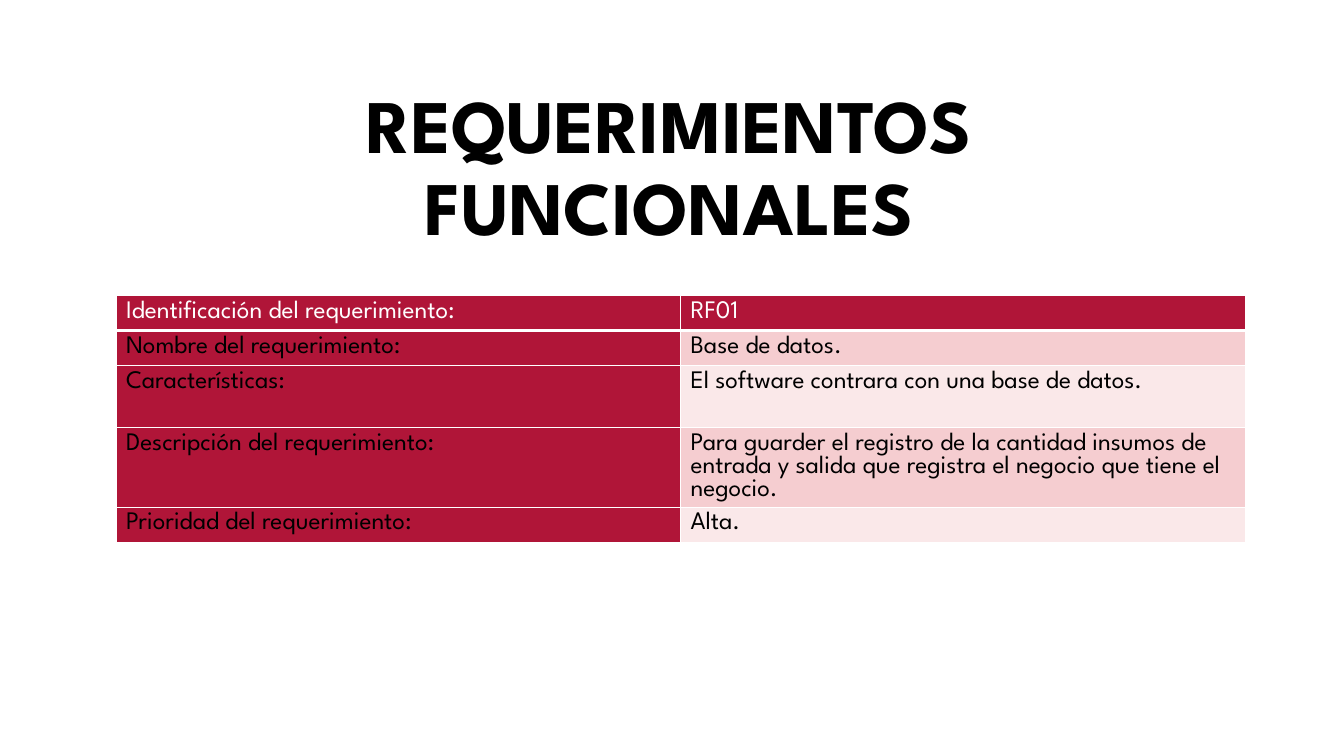
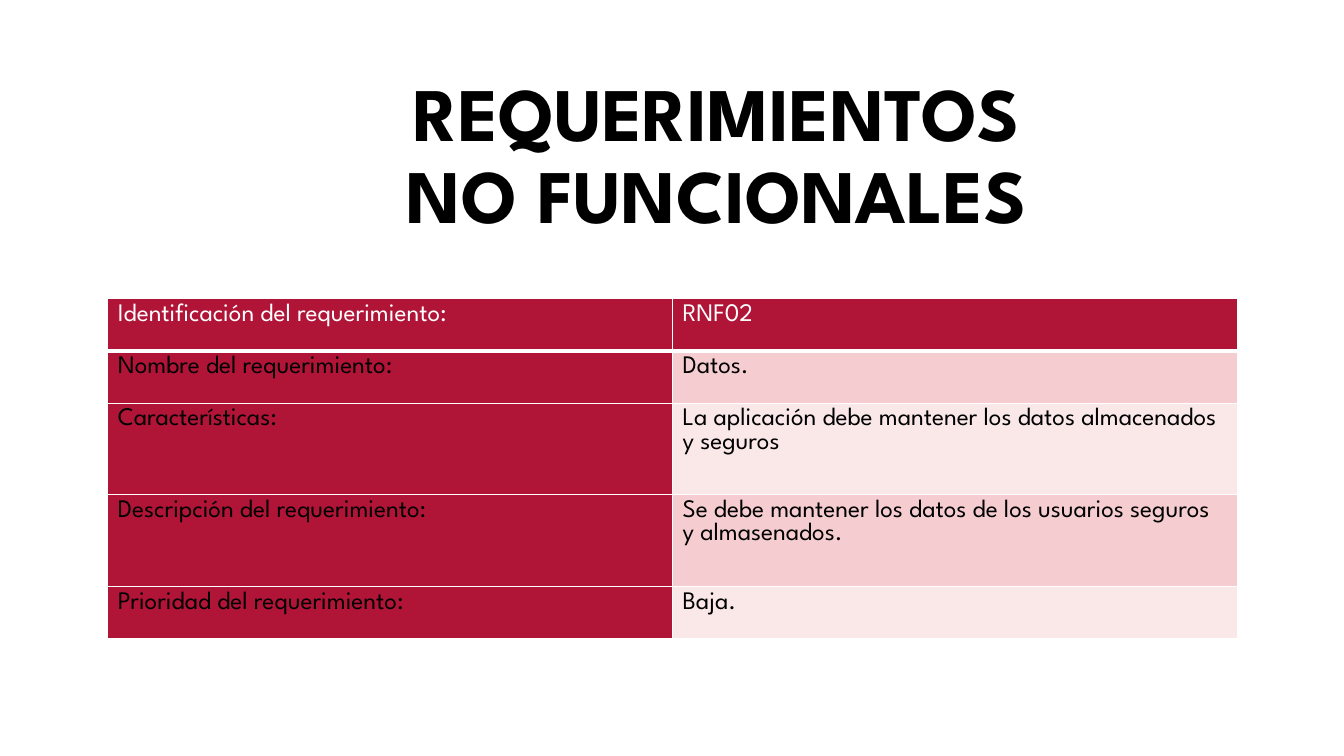
"""Builds two slides that tabulate a functional and a non-functional requirement."""
from dataclasses import dataclass

from lxml import etree
from pptx import Presentation
from pptx.dml.color import RGBColor
from pptx.enum import text
from pptx.oxml.ns import qn
from pptx.util import Inches, Pt


@dataclass(frozen=True)
class Theme:
    font: str = "League Spartan"
    crimson: str = "B01538"
    rose: str = "F5CDD0"
    blush: str = "FAE8E9"
    white: str = "FFFFFF"
    black: str = "000000"
    title_size: int = 54
    cell_size: int = 18
    rule: int = 1
    header_rule: int = 3


THEME = Theme()
LABELS = [
    "Identificación del requerimiento:",
    "Nombre del requerimiento:",
    "Características:",
    "Descripción del requerimiento:",
    "Prioridad del requerimiento:",
]
COLUMN_WIDTH = 5.6
REQUIREMENTS = [
    {
        "title": "REQUERIMIENTOS FUNCIONALES",
        "title_at": (3.23, 0.98),
        "table_at": (1.15, 2.93),
        "heights": [0.35, 0.35, 0.61, 0.61, 0.35],
        "answers": [
            "RF01",
            "Base de datos.",
            "El software contrara con una base de datos.",
            "Para guarder el registro de la cantidad insumos de entrada y salida "
            "que registra el negocio que tiene el negocio.",
            "Alta.",
        ],
    },
    {
        "title": "REQUERIMIENTOS NO FUNCIONALES",
        "title_at": (3.7, 0.86),
        "table_at": (1.07, 2.96),
        "heights": [0.52, 0.52, 0.91, 0.91, 0.52],
        "answers": [
            "RNF02",
            "Datos.",
            "La aplicación debe mantener los datos almacenados y seguros",
            "Se debe mantener los datos de los usuarios seguros y almasenados.",
            "Baja.",
        ],
    },
]


def style_text(frame, size, color, bold):
    for paragraph in frame.paragraphs:
        for run in paragraph.runs:
            run.font.name = THEME.font
            run.font.size = Pt(size)
            run.font.bold = bold
            run.font.color.rgb = RGBColor.from_string(color)


def add_borders(cell, bottom):
    properties = cell._tc.get_or_add_tcPr()
    widths = {"a:lnL": THEME.rule, "a:lnR": THEME.rule, "a:lnT": THEME.rule, "a:lnB": bottom}
    for side, width in widths.items():
        line = etree.SubElement(properties, qn(side), w=str(Pt(width)))
        fill = etree.SubElement(line, qn("a:solidFill"))
        etree.SubElement(fill, qn("a:srgbClr"), val=THEME.white)


deck = Presentation()
deck.slide_width, deck.slide_height = Inches(13.33), Inches(7.5)

for requirement in REQUIREMENTS:
    slide = deck.slides.add_slide(deck.slide_layouts[5])

    title = slide.shapes.title
    title.left, title.top = map(Inches, requirement["title_at"])
    title.width, title.height = Inches(6.82), Inches(1.41)
    title.text_frame.text = requirement["title"]
    title.text_frame.word_wrap = True
    title.text_frame.auto_size = text.MSO_AUTO_SIZE.NONE
    title.text_frame.vertical_anchor = text.MSO_ANCHOR.MIDDLE
    title.text_frame.paragraphs[0].alignment = text.PP_ALIGN.CENTER
    title.text_frame.paragraphs[0].line_spacing = 0.9
    style_text(title.text_frame, THEME.title_size, THEME.black, True)

    left, top = map(Inches, requirement["table_at"])
    heights = requirement["heights"]
    table = slide.shapes.add_table(
        len(LABELS), 2, left, top, Inches(2 * COLUMN_WIDTH), Inches(sum(heights))
    ).table
    table.horz_banding = False
    for column in table.columns:
        column.width = Inches(COLUMN_WIDTH)

    for row, entry in enumerate(zip(LABELS, requirement["answers"])):
        table.rows[row].height = Inches(heights[row])
        is_header = row == 0
        band = THEME.rose if row % 2 else THEME.blush
        for column, wording in enumerate(entry):
            cell = table.cell(row, column)
            cell.text_frame.text = wording
            style_text(cell.text_frame, THEME.cell_size, THEME.white if is_header else THEME.black, False)
            add_borders(cell, THEME.header_rule if is_header else THEME.rule)
            cell.fill.solid()
            fill = THEME.crimson if is_header or column == 0 else band
            cell.fill.fore_color.rgb = RGBColor.from_string(fill)

deck.save("out.pptx")
